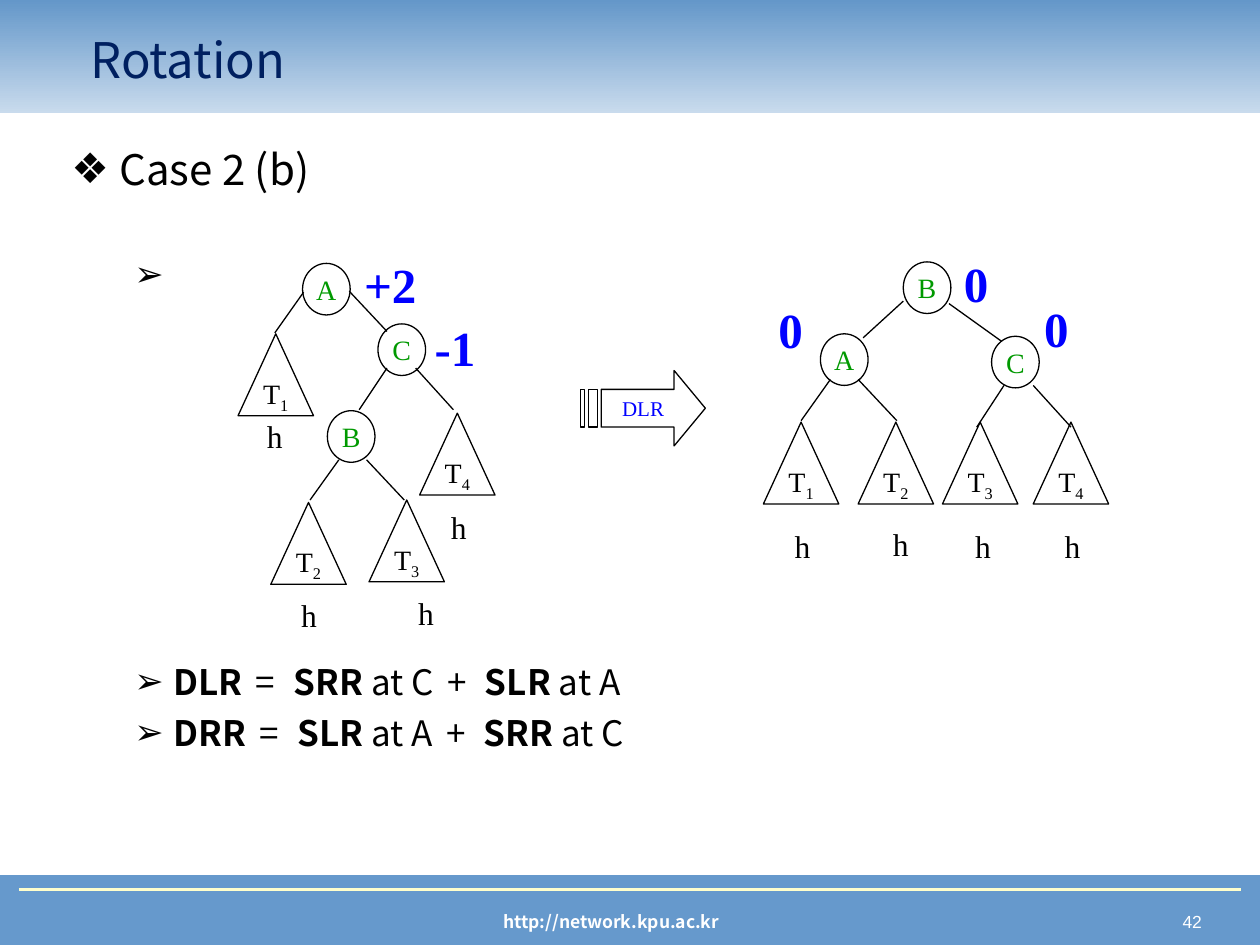
from typing import NamedTuple

from lxml.etree import SubElement
from pptx import Presentation
from pptx.dml.color import RGBColor
from pptx.enum.shapes import MSO_CONNECTOR, MSO_SHAPE
from pptx.enum.text import MSO_ANCHOR, PP_ALIGN
from pptx.oxml.ns import qn
from pptx.util import Cm, Pt

SANS, SERIF = "Noto Sans CJK KR", "Times New Roman"
BLACK, WHITE, BLUE, GREEN = "000000", "FFFFFF", "0000FF", "009900"
BAND_BLUE = "6699CC"


class Label(NamedTuple):
    text: str
    left: float
    top: float


class Edge(NamedTuple):
    x1: float
    y1: float
    x2: float
    y2: float


class Tree(NamedTuple):
    nodes: list[Label]
    subtrees: list[Label]
    edges: list[Edge]
    balances: list[Label]
    heights: list[tuple[float, float]]


BEFORE = Tree(
    nodes=[Label("A", 6.1, 5.31), Label("C", 7.62, 6.53), Label("B", 6.6, 8.28)],
    subtrees=[Label("1", 4.8, 6.73), Label("2", 5.46, 10.13),
              Label("3", 7.44, 10.08), Label("4", 8.46, 8.33)],
    edges=[Edge(5.54, 6.71, 6.12, 5.89), Edge(7.8, 6.68, 7.04, 5.87),
           Edge(7.24, 8.26, 7.8, 7.42), Edge(9.14, 8.26, 8.38, 7.42),
           Edge(6.25, 10.08, 6.83, 9.27), Edge(8.15, 10.08, 7.39, 9.27)],
    balances=[Label("+2", 7.09, 5), Label("-1", 8.51, 6.27)],
    heights=[(5.13, 8.28), (5.82, 11.89), (8.18, 11.86), (8.84, 10.11)],
)
AFTER = Tree(
    nodes=[Label("B", 18.21, 5.28), Label("A", 16.54, 6.73), Label("C", 19.99, 6.78)],
    subtrees=[Label("1", 15.39, 8.51), Label("2", 17.3, 8.51),
              Label("3", 19, 8.51), Label("4", 20.83, 8.51)],
    edges=[Edge(17.4, 6.81, 18.21, 6.07), Edge(20.19, 6.88, 19.13, 6.12),
           Edge(16.15, 8.48, 16.74, 7.65), Edge(18.08, 8.48, 17.3, 7.65),
           Edge(19.69, 8.61, 20.24, 7.77), Edge(21.59, 8.61, 20.83, 7.77)],
    balances=[Label("0", 19.18, 4.98), Label("0", 15.44, 5.92), Label("0", 20.8, 5.89)],
    heights=[(15.77, 10.49), (17.75, 10.46), (19.41, 10.49), (21.21, 10.49)],
)
BALANCE_WIDTHS = {"+2": 1.7, "-1": 1.5, "0": 1.05}

# Outlines of the striped arrow, in hundredths of a centimetre
ARROW_OUTLINES = [
    [(1359, 747), (1359, 785), (1212, 785), (1212, 861),
     (1359, 861), (1359, 899), (1422, 823)],
    [(1186, 785), (1186, 861), (1204, 861), (1204, 785)],
    [(1171, 785), (1171, 861), (1179, 861), (1179, 785)],
]


def color(value: str) -> RGBColor:
    return RGBColor.from_string(value)


def add_run(paragraph, text: str, *, size=16, font=SERIF, fill=BLACK, bold=False,
            baseline=None, spacing=None):
    """Add a run; baseline is in thousandths of a percent, spacing in points."""
    run = paragraph.add_run()
    run.text = text
    run.font.size, run.font.name, run.font.bold = Pt(size), font, bold
    run.font.color.rgb = color(fill)
    properties = run._r.get_or_add_rPr()
    if baseline is not None:
        properties.set("baseline", str(baseline))
    if spacing is not None:
        properties.set("spc", str(spacing * 100))


def write(shape, text: str, *, align=PP_ALIGN.LEFT, anchor=MSO_ANCHOR.TOP,
          wrap=False, **run_format):
    """Fill the shape's first paragraph and return that paragraph."""
    frame = shape.text_frame
    frame.word_wrap, frame.vertical_anchor = wrap, anchor
    paragraph = frame.paragraphs[0]
    paragraph.alignment = align
    add_run(paragraph, text, **run_format)
    return paragraph


def add_text(slide, text: str, left, top, width, height, **text_format):
    box = slide.shapes.add_textbox(Cm(left), Cm(top), Cm(width), Cm(height))
    return write(box, text, **text_format)


def outline(shape, fill: str | None = None, line: str = BLACK):
    shape.shadow.inherit = False
    if fill:
        shape.fill.solid()
        shape.fill.fore_color.rgb = color(fill)
    else:
        shape.fill.background()
    shape.line.color.rgb = color(line)
    shape.line.width = Pt(0.75)


def add_shape(slide, kind, left, top, width, height):
    return slide.shapes.add_shape(kind, Cm(left), Cm(top), Cm(width), Cm(height))


def add_line(slide, edge: Edge, line: str = BLACK, width: float = 0.75):
    connector = slide.shapes.add_connector(
        MSO_CONNECTOR.STRAIGHT, *(Cm(value) for value in edge))
    connector.line.color.rgb = color(line)
    connector.line.width = Pt(width)
    SubElement(connector._element.spPr, qn("a:effectLst"))


def draw_tree(slide, tree: Tree):
    centred = {"align": PP_ALIGN.CENTER, "anchor": MSO_ANCHOR.MIDDLE}
    for edge in tree.edges:
        add_line(slide, edge)
    for node in tree.nodes:
        circle = add_shape(slide, MSO_SHAPE.OVAL, node.left, node.top, 0.96, 1.04)
        outline(circle)
        write(circle, node.text, fill=GREEN, **centred)
    for subtree in tree.subtrees:
        triangle = add_shape(slide, MSO_SHAPE.ISOSCELES_TRIANGLE,
                             subtree.left, subtree.top, 1.52, 1.65)
        outline(triangle)
        add_run(write(triangle, "T", **centred), subtree.text, baseline=-25000)
    for balance in tree.balances:
        add_text(slide, balance.text, balance.left, balance.top,
                 BALANCE_WIDTHS[balance.text], 1.45, size=28, fill=BLUE, bold=True)
    for left, top in tree.heights:
        add_text(slide, "h", left, top, 0.85, 1.02, size=18)


def draw_arrow(slide):
    builder = slide.shapes.build_freeform(*ARROW_OUTLINES[0][0], scale=Cm(0.01))
    for number, points in enumerate(ARROW_OUTLINES):
        if number:
            builder.move_to(*points[0])
        builder.add_line_segments(points[1:], close=True)
    arrow = builder.convert_to_shape()
    outline(arrow, WHITE)
    write(arrow, "DLR", size=12, fill=BLUE, wrap=True,
          align=PP_ALIGN.CENTER, anchor=MSO_ANCHOR.MIDDLE)


def indent(paragraph, margin: float, hanging: float, bullet: str):
    properties = paragraph._p.get_or_add_pPr()
    properties.set("marL", str(Cm(margin)))
    properties.set("indent", str(-Cm(hanging)))
    if bullet:
        SubElement(properties, qn("a:buFont")).set("typeface", "Arial")
        SubElement(properties, qn("a:buChar")).set("char", bullet)


def draw_body(slide):
    box = slide.shapes.add_textbox(Cm(1.19), Cm(2.77), Cm(21.21), Cm(13.79))
    heading = write(box, "Case 2 (b)", size=24, font=SANS, wrap=True)
    indent(heading, 0.97, 0.97, "❖")

    def add_item(space_before: float, bullet: str):
        paragraph = box.text_frame.add_paragraph()
        paragraph.space_before = Pt(space_before)
        indent(paragraph, 2.06, 0.79, bullet)
        return paragraph

    add_run(add_item(33, ""), "➢", size=20, font=SANS)
    rules = [(209.5, "DLR", "SRR", "C", "SLR", "A"),
             (5, "DRR", "SLR", "A", "SRR", "C")]
    for space_before, name, first, first_node, second, second_node in rules:
        paragraph = add_item(space_before, "➢")
        for text, bold, spacing in [
                (name, True, None), (" = ", False, 3),
                (first, True, None), (f" at {first_node}", False, None),
                (" + ", False, 3),
                (second, True, None), (f" at {second_node}", False, None)]:
            add_run(paragraph, text, size=20, font=SANS, bold=bold, spacing=spacing)


def draw_frame(slide):
    """Draw the header and footer bands with the title, address and page number."""
    footer = add_shape(slide, MSO_SHAPE.RECTANGLE, 0, 17.65, 25.4, 1.4)
    outline(footer, BAND_BLUE, BAND_BLUE)
    add_line(slide, Edge(0.38, 17.93, 25.02, 17.93), "FFFFCC", 1.5)
    small = {"size": 10, "fill": WHITE, "wrap": True, "anchor": MSO_ANCHOR.MIDDLE}
    add_text(slide, "42", 18.85, 18.24, 5.63, 0.69,
             font="Arial", align=PP_ALIGN.RIGHT, **small)
    add_text(slide, "http://network.kpu.ac.kr", 5.77, 18.24, 13.1, 0.69,
             font=SANS, bold=True, align=PP_ALIGN.CENTER, **small)

    header = add_shape(slide, MSO_SHAPE.RECTANGLE, 0, 0, 25.4, 2.29)
    header.shadow.inherit = False
    header.line.fill.background()
    header.fill.gradient()
    header.fill.gradient_angle = 90
    for stop, value in zip(header.fill.gradient_stops, ("C9DBED", "6497C9")):
        stop.color.rgb = color(value)

    title = slide.shapes.title
    title.left, title.top, title.width, title.height = (
        Cm(1.57), Cm(0.41), Cm(21.44), Cm(1.57))
    write(title, "Rotation", size=28, font=SANS, fill="002060",
          wrap=True, anchor=MSO_ANCHOR.MIDDLE)
    header._element.addnext(title._element)


def main():
    presentation = Presentation()
    presentation.slide_width, presentation.slide_height = Cm(25.4), Cm(19.05)
    slide = presentation.slides.add_slide(presentation.slide_layouts[5])
    draw_frame(slide)
    draw_body(slide)
    draw_tree(slide, BEFORE)
    draw_arrow(slide)
    draw_tree(slide, AFTER)
    presentation.save("out.pptx")


if __name__ == "__main__":
    main()
